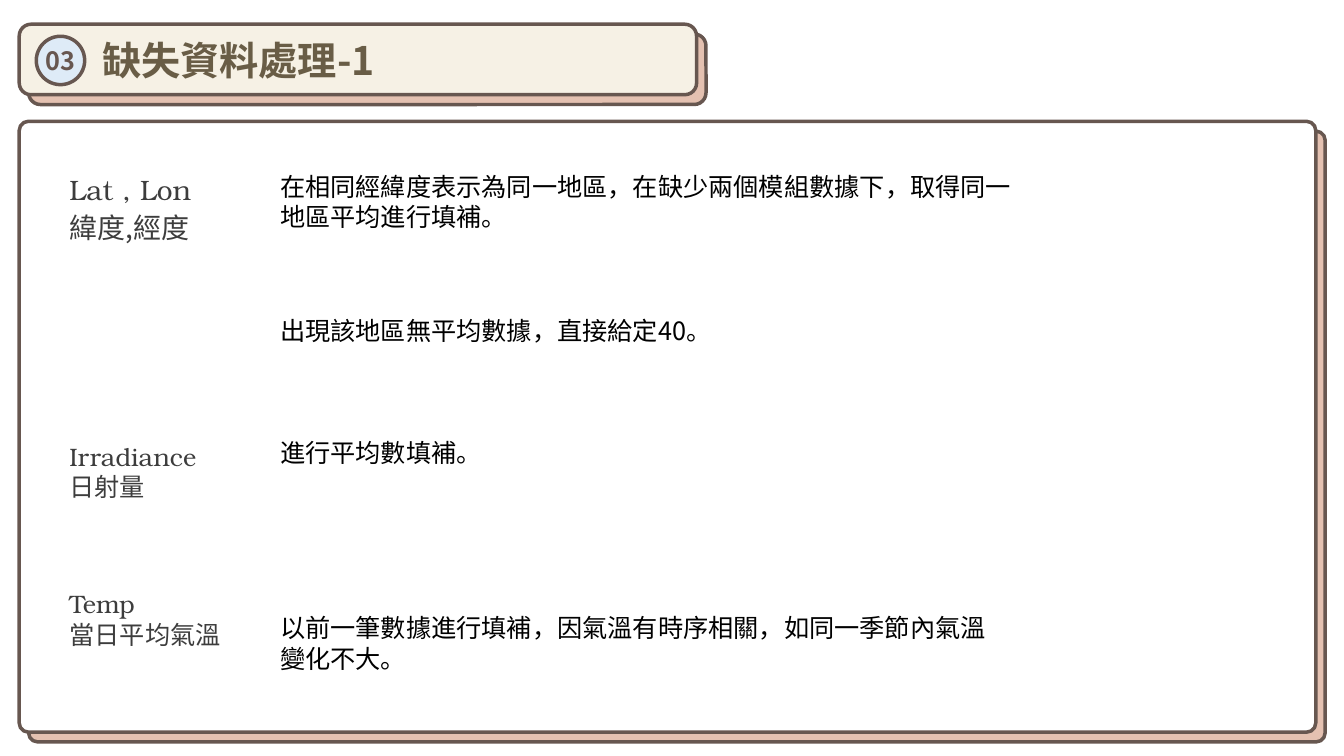
from dataclasses import dataclass

from pptx import Presentation
from pptx.dml.color import RGBColor
from pptx.enum.shapes import MSO_SHAPE
from pptx.enum.text import MSO_ANCHOR, MSO_AUTO_SIZE, PP_ALIGN
from pptx.oxml.ns import qn
from pptx.util import Inches, Pt

SLIDE_W, SLIDE_H = Inches(13.33), Inches(7.5)


@dataclass(frozen=True)
class Theme:
    outline: str = "675750"
    backing: str = "E4C1B1"
    cream: str = "F6F1E5"
    badge: str = "DEEBF7"
    white: str = "FFFFFF"
    title: str = "695D46"
    label: str = "3D3D3D"
    body: str = "000000"
    cjk: str = "Noto Sans CJK SC"
    badge_font: str = "Noto Sans CJK KR"
    serif: str = "TeX Gyre Bonum"
    title_size: int = 28
    large_size: int = 20
    text_size: int = 18
    line_width: float = 2.5


THEME = Theme()

# Percent of the slide's width (columns) and height (rows)
EDGE, LABEL_COL, NOTE_COL = 1.43, 4.43, 20.1
BACKING_DX, BACKING_DY = 0.7, 1.3
ONE_LINE, LARGE_LINE, TWO_LINES = 5.33, 5.87, 9.47

# top, width, height, size, (text, font) for each line
LABELS = [
    (22.13, 50, LARGE_LINE, THEME.large_size, [("Lat , Lon", THEME.serif)]),
    (27.2, 50, LARGE_LINE, THEME.large_size, [("緯度,經度", THEME.cjk)]),
    (57.73, 11.63, TWO_LINES, THEME.text_size,
     [("Irradiance", THEME.serif), ("日射量", THEME.cjk)]),
    (77.2, 14.93, TWO_LINES, THEME.text_size,
     [("Temp", THEME.serif), ("當日平均氣溫", THEME.cjk)]),
]

# top, width, height, text
NOTES = [
    (22, 57, TWO_LINES,
     "在相同經緯度表示為同一地區，在缺少兩個模組數據下，取得同一地區平均進行填補。"),
    (41.07, 52, ONE_LINE, "出現該地區無平均數據，直接給定40。"),
    (57.2, 36.16, ONE_LINE, "進行平均數填補。"),
    (80.4, 55.59, TWO_LINES,
     "以前一筆數據進行填補，因氣溫有時序相關，如同一季節內氣溫變化不大。"),
]


def box(left, top, width, height):
    """Turn percentages of the slide into EMU lengths."""
    return (int(SLIDE_W * left / 100), int(SLIDE_H * top / 100),
            int(SLIDE_W * width / 100), int(SLIDE_H * height / 100))


def write(p, text, *, size, color, font=THEME.cjk, bold=False, align=PP_ALIGN.LEFT):
    p.alignment = align
    r = p.add_run()
    r.text = text
    r.font.size = Pt(size)
    r.font.bold = bold
    r.font.color.rgb = RGBColor.from_string(color)
    r.font.name = font
    ea = r.font._element.makeelement(qn("a:ea"), {"typeface": font})
    r.font._element.append(ea)


def add_outlined(shapes, kind, area, fill, corner=None):
    sp = shapes.add_shape(kind, *box(*area))
    sp.shadow.inherit = False
    sp.fill.solid()
    sp.fill.fore_color.rgb = RGBColor.from_string(fill)
    sp.line.color.rgb = RGBColor.from_string(THEME.outline)
    sp.line.width = Pt(THEME.line_width)
    if corner is not None:
        sp.adjustments[0] = corner
    sp.text_frame.vertical_anchor = MSO_ANCHOR.MIDDLE
    return sp


def add_card(shapes, top, width, height, fill, corner=None):
    """Draw a rounded card over a backing shifted down and right."""
    add_outlined(shapes, MSO_SHAPE.ROUNDED_RECTANGLE,
                 (EDGE + BACKING_DX, top + BACKING_DY, width, height),
                 THEME.backing, corner)
    return add_outlined(shapes, MSO_SHAPE.ROUNDED_RECTANGLE,
                        (EDGE, top, width, height), fill, corner)


def add_text(shapes, area, lines, *, size, color):
    tf = shapes.add_textbox(*box(*area)).text_frame
    tf.word_wrap = True
    tf.auto_size = MSO_AUTO_SIZE.SHAPE_TO_FIT_TEXT
    for i, (text, font) in enumerate(lines):
        p = tf.add_paragraph() if i else tf.paragraphs[0]
        write(p, text, size=size, color=color, font=font)


def add_header(shapes):
    p = add_card(shapes, 3.2, 50.4, 9.33, THEME.cream).text_frame.paragraphs[0]
    write(p, "缺失資料處理-1", size=THEME.title_size, color=THEME.title, bold=True)
    pPr = p._p.get_or_add_pPr()
    pPr.set("marL", str(Inches(0.69)))
    pPr.set("indent", "0")

    tf = add_outlined(shapes, MSO_SHAPE.OVAL, (2.7, 4.8, 3.6, 6.4),
                      THEME.badge).text_frame
    tf.word_wrap = False
    write(tf.paragraphs[0], "03", size=THEME.text_size, color=THEME.outline,
          font=THEME.badge_font, bold=True, align=PP_ALIGN.CENTER)


def main():
    prs = Presentation()
    prs.slide_width, prs.slide_height = SLIDE_W, SLIDE_H
    shapes = prs.slides.add_slide(prs.slide_layouts[6]).shapes

    frame = shapes.add_group_shape().shapes
    add_header(frame)
    add_card(frame, 16.05, 96.47, 80.8, THEME.white, corner=0.015)

    for top, width, height, size, lines in LABELS:
        add_text(shapes, (LABEL_COL, top, width, height), lines,
                 size=size, color=THEME.label)
    for top, width, height, text in NOTES:
        add_text(shapes, (NOTE_COL, top, width, height), [(text, THEME.cjk)],
                 size=THEME.text_size, color=THEME.body)

    prs.save("out.pptx")


if __name__ == "__main__":
    main()
